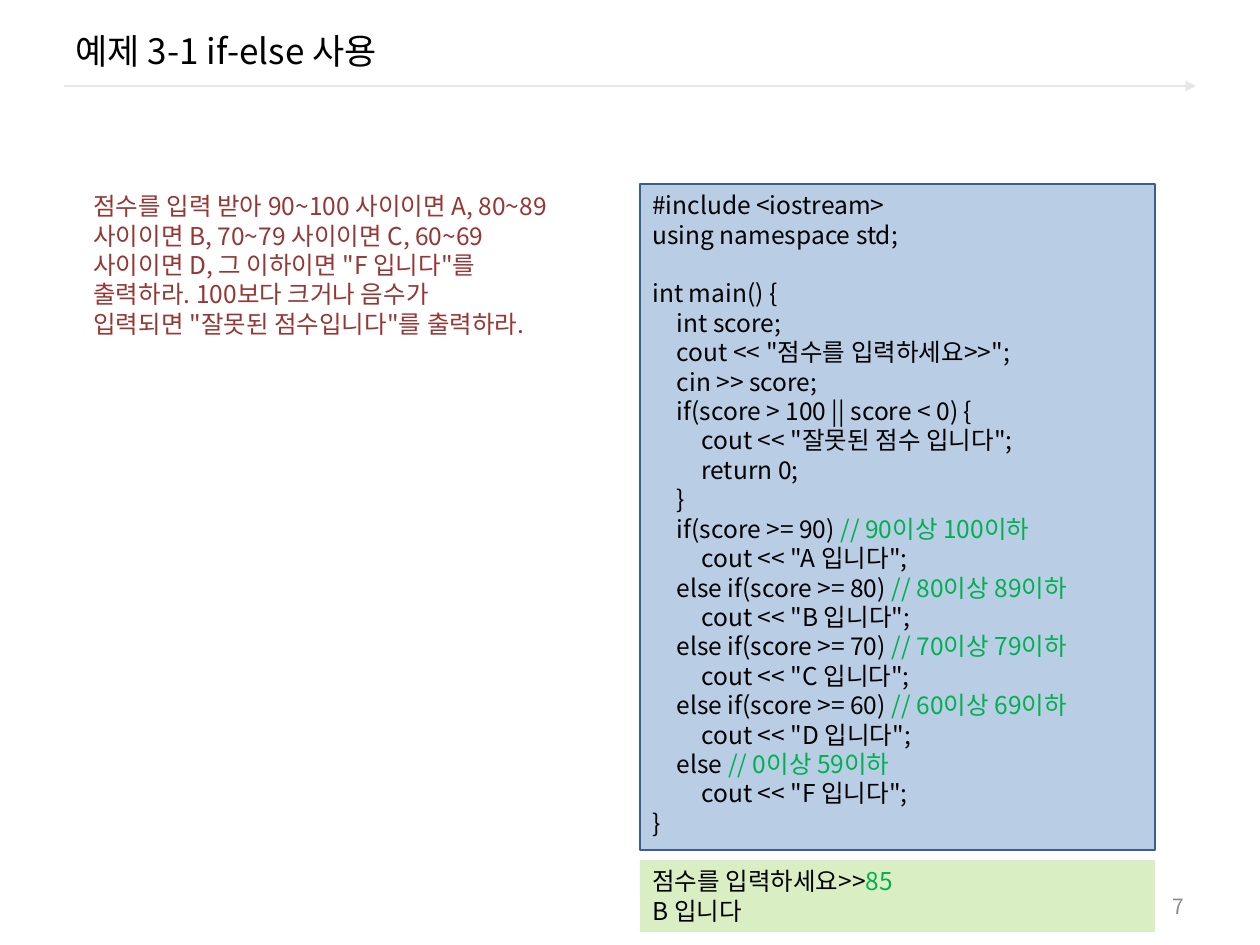
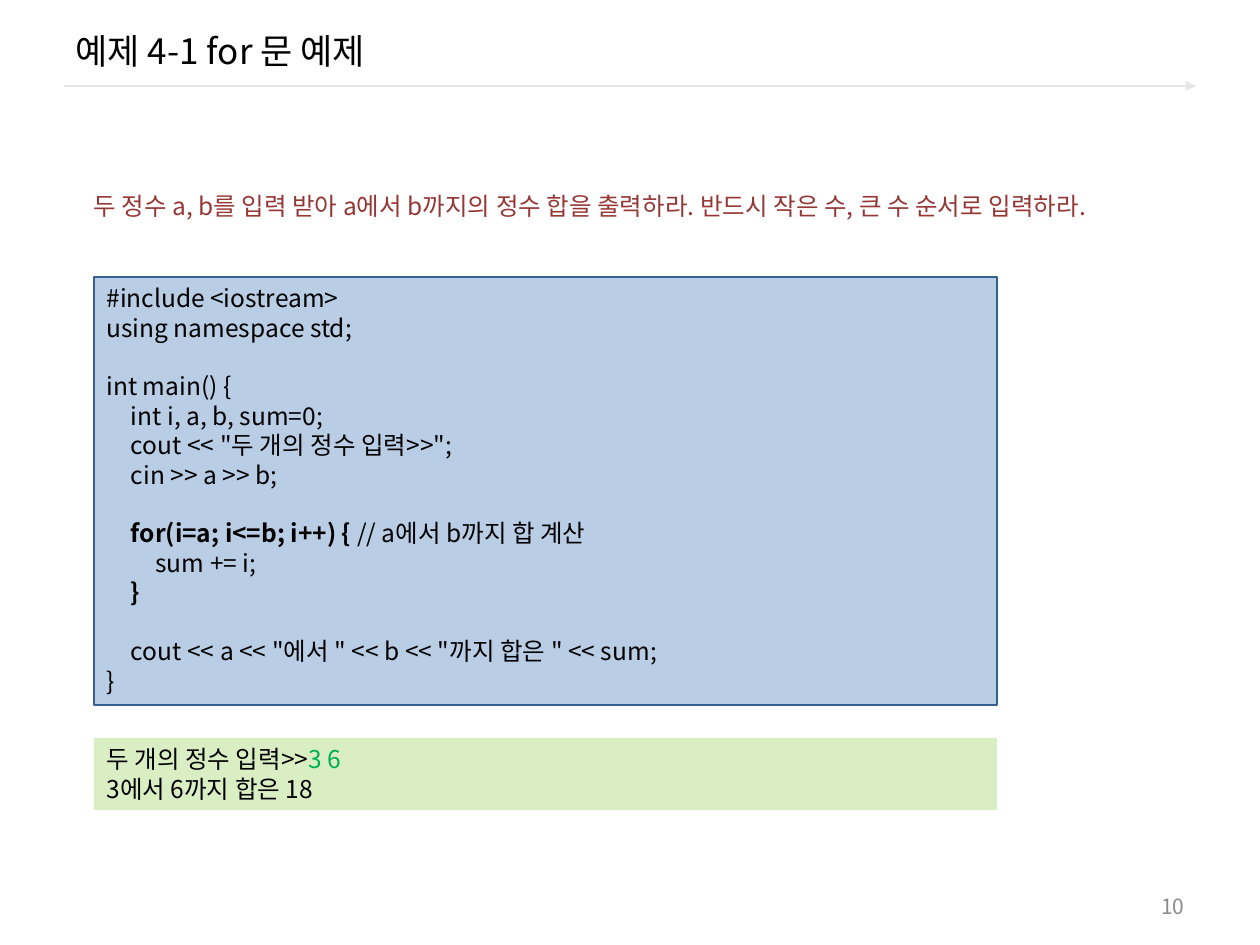
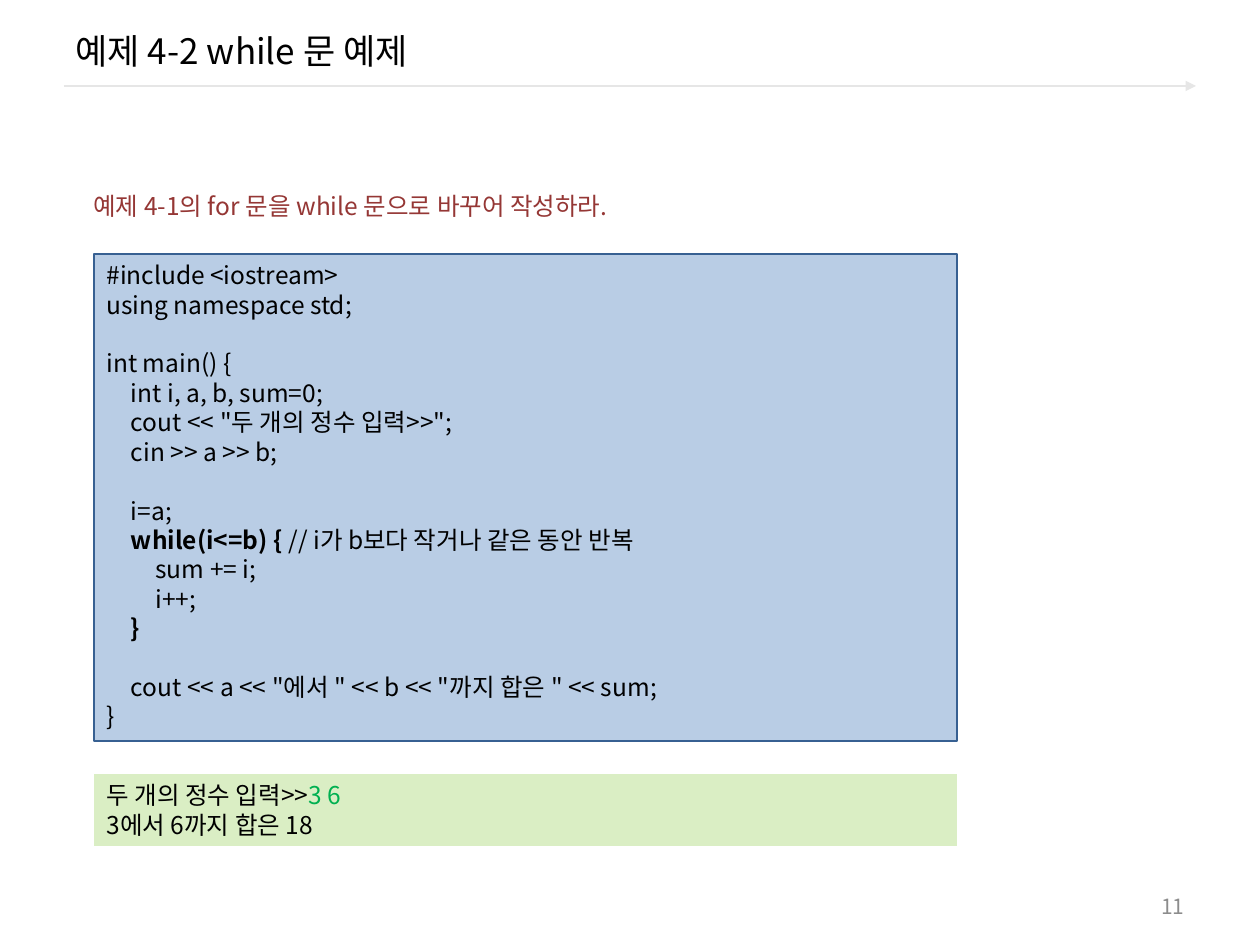
from pptx import Presentation
from pptx.dml.color import RGBColor
from pptx.enum.shapes import MSO_CONNECTOR, MSO_SHAPE
from pptx.enum.text import MSO_ANCHOR as ANCHOR, MSO_AUTO_SIZE as AUTO, PP_ALIGN as ALIGN
from pptx.oxml.ns import qn
from pptx.util import Inches, Pt
from lxml.etree import SubElement

BLACK = RGBColor(0x00, 0x00, 0x00)
GREY = RGBColor(0x8C, 0x8C, 0x8C)
RULE = RGBColor(0xE6, 0xE6, 0xE6)
MAROON = RGBColor(0x95, 0x37, 0x35)
GREEN = RGBColor(0x00, 0xB0, 0x50)
CODE_FILL = RGBColor(0xB9, 0xCD, 0xE5)
CODE_LINE = RGBColor(0x37, 0x60, 0x92)
OUTPUT_FILL = RGBColor(0xDA, 0xEE, 0xC4)
FONT = "Noto Sans CJK KR"
TAB = Pt(14)
PX = Inches(1) / 126
OUTPUT_H = 72
TITLE_BOX = (63, 10, 1134, 81)
NUMBER_BOX = (903, 886, 294, 40)

HEAD = ["#include <iostream>", "using namespace std;", "", "int main() {"]
SUM_START = HEAD + [
    "\tint i, a, b, sum=0;",
    '\tcout << "두 개의 정수 입력>>";',
    "\tcin >> a >> b;",
    "",
]
SUM_END = [
    ["\t", ("}", "bold")],
    "",
    '\tcout << a << "에서 " << b << "까지 합은 " << sum;',
    "}",
]
SUM_OUTPUT = [["두 개의 정수 입력>>", ("3 6", "green")], "3에서 6까지 합은 18"]

SLIDES = [
    {
        "title": "예제 3-1 if-else 사용",
        "number": "7",
        "task": '점수를 입력 받아 90~100 사이이면 A, 80~89 사이이면 B, 70~79 사이이면 C, '
                '60~69 사이이면 D, 그 이하이면 "F 입니다"를 출력하라. 100보다 크거나 음수가 '
                '입력되면 "잘못된 점수입니다"를 출력하라.',
        "task_box": (81, 185, 500, 161),
        "code_box": (640, 184, 515, 666),
        "gap": 10,
        "code": HEAD + [
            "\tint score;",
            '\tcout << "점수를 입력하세요>>";',
            "\tcin >> score;",
            "\tif(score > 100 || score < 0) {",
            '\t\tcout << "잘못된 점수 입니다";',
            "\t\treturn 0;",
            "\t}",
            ["\tif(score >= 90) ", ("// 90이상 100이하", "green")],
            '\t\tcout << "A 입니다";',
            ["\telse if(score >= 80) ", ("// 80이상 89이하", "green")],
            '\t\tcout << "B 입니다";',
            ["\telse if(score >= 70) ", ("// 70이상 79이하", "green")],
            '\t\tcout << "C 입니다";',
            ["\telse if(score >= 60) ", ("// 60이상 69이하", "green")],
            '\t\tcout << "D 입니다";',
            ["\telse ", ("// 0이상 59이하", "green")],
            '\t\tcout << "F 입니다";',
            "}",
        ],
        "output": [["점수를 입력하세요>>", ("85", "green")], "B 입니다"],
    },
    {
        "title": "예제 4-1 for 문 예제",
        "number": "10",
        "task": "두 정수 a, b를 입력 받아 a에서 b까지의 정수 합을 출력하라. "
                "반드시 작은 수, 큰 수 순서로 입력하라.",
        "task_box": (81, 185, 1026, 72),
        "code_box": (94, 277, 903, 428),
        "gap": 33,
        "code": SUM_START + [
            ["\t", ("for(i=a; i<=b; i++) {", "bold"), " // a에서 b까지 합 계산"],
            "\t\tsum += i;",
        ] + SUM_END,
        "output": SUM_OUTPUT,
    },
    {
        "title": "예제 4-2 while 문 예제",
        "number": "11",
        "task": "예제 4-1의 for 문을 while 문으로 바꾸어 작성하라.",
        "task_box": (81, 185, 946, 43),
        "code_box": (94, 254, 863, 487),
        "gap": 33,
        "code": SUM_START + [
            "\ti=a;",
            ["\t", ("while(i<=b) {", "bold"), " // i가 b보다 작거나 같은 동안 반복"],
            "\t\tsum += i;",
            "\t\ti++;",
        ] + SUM_END,
        "output": SUM_OUTPUT,
    },
]


def px(*values):
    return [round(v * PX) for v in values]


def add_tabs(p):
    tabs = SubElement(p._p.get_or_add_pPr(), qn("a:tabLst"))
    for n in (1, 2):
        SubElement(tabs, qn("a:tab"), pos=str(TAB * n), algn="l")


def set_font(p, size, color):
    f = p.font
    f.name, f.size, f.bold = FONT, Pt(size), False
    f.color.rgb = color
    SubElement(f._element, qn("a:ea"), typeface=FONT)


def write(sp, lines, size=14, color=BLACK, align=ALIGN.LEFT, anchor=ANCHOR.TOP, tabs=False):
    tf = sp.text_frame
    tf.word_wrap = True
    tf.auto_size = AUTO.NONE
    tf.vertical_anchor = anchor
    for i, line in enumerate(lines):
        p = tf.add_paragraph() if i else tf.paragraphs[0]
        p.alignment = align
        if tabs:
            add_tabs(p)
        set_font(p, size, color)
        for part in [line] if isinstance(line, str) else line:
            text, style = (part, None) if isinstance(part, str) else part
            if not text:
                continue
            r = p.add_run()
            r.text = text
            if style == "bold":
                r.font.bold = True
            elif style == "green":
                r.font.color.rgb = GREEN


def add_panel(s, box, lines, fill, line=None):
    sp = s.shapes.add_shape(MSO_SHAPE.RECTANGLE, *px(*box))
    sp.shadow.inherit = False
    sp.fill.solid()
    sp.fill.fore_color.rgb = fill
    if line is None:
        sp.line.fill.background()
    else:
        sp.line.color.rgb = line
        sp.line.width = Pt(0.75)
    write(sp, lines, tabs=True)


def add_title_rule(s, layout):
    rule = s.shapes.add_connector(MSO_CONNECTOR.STRAIGHT, *px(64, 86, 1196, 86))
    rule.line.color.rgb = RULE
    rule.line.width = Pt(1.5)
    SubElement(rule.line._get_or_add_ln(), qn("a:tailEnd"), type="triangle")
    SubElement(rule._element.spPr, qn("a:effectLst"))
    layout.shapes.element.append(rule._element)


def add_slide(prs, layout, data):
    s = prs.slides.add_slide(layout)
    title = s.shapes.title
    title.left, title.top, title.width, title.height = px(*TITLE_BOX)
    write(title, [data["title"]], size=20, anchor=ANCHOR.MIDDLE)
    number = s.shapes.add_textbox(*px(*NUMBER_BOX))
    write(number, [data["number"]], 12, GREY, ALIGN.RIGHT, ANCHOR.MIDDLE)
    task = s.shapes.add_textbox(*px(*data["task_box"]))
    write(task, [data["task"]], color=MAROON)
    x, y, w, h = data["code_box"]
    add_panel(s, (x, y, w, h), data["code"], CODE_FILL, CODE_LINE)
    add_panel(s, (x, y + h + data["gap"], w, OUTPUT_H), data["output"], OUTPUT_FILL)
    return s


def main():
    prs = Presentation()
    prs.slide_width, prs.slide_height = Inches(10), Inches(7.5)
    layout = prs.slide_layouts[5]
    slides = [add_slide(prs, layout, data) for data in SLIDES]
    add_title_rule(slides[0], layout)
    prs.save("out.pptx")


if __name__ == "__main__":
    main()
